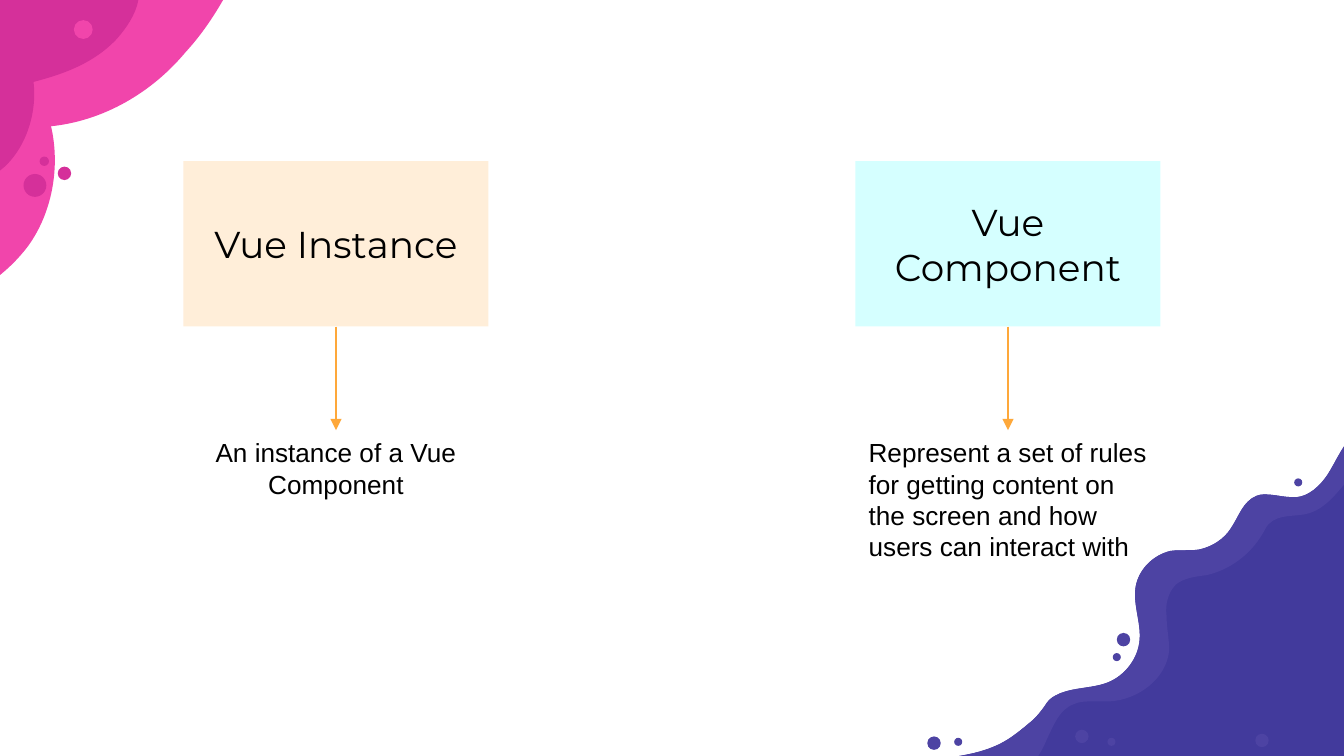
from lxml.etree import SubElement as Sub
from pptx import Presentation
from pptx.dml.color import RGBColor as Rgb
from pptx.enum.shapes import MSO_CONNECTOR as Link, MSO_SHAPE as Shape
from pptx.enum.text import MSO_ANCHOR as Anchor, PP_ALIGN as Align
from pptx.oxml.ns import qn
from pptx.util import Inches, Pt

HUE = {
    "pink": "F145AB", "rose": "D5309A", "navy": "423A9C", "plum": "4D43A3",
    "peach": "FFEED9", "aqua": "D5FFFF", "gold": "FEA83A", "ink": "000000",
}

deck = Presentation()
deck.slide_width = Inches(10)
deck.slide_height = deck.slide_width * 9 // 16
wide = deck.slide_width
unit = wide // 10
slide = deck.slides.add_slide(deck.slide_layouts[6])
shapes = slide.shapes


def paint(shape, hue):
    shape.shadow.inherit = False
    shape.fill.solid()
    shape.fill.fore_color.rgb = Rgb.from_string(HUE[hue])
    shape.line.fill.background()


def write(shape, text, font, size, align):
    frame = shape.text_frame
    frame.word_wrap = True
    frame.text = text
    para = frame.paragraphs[0]
    para.alignment = align
    face = para.runs[0].font
    face.name, face.size = font, Pt(size)
    face.color.rgb = Rgb.from_string(HUE["ink"])


shore = [
    (10.08, 3.23), (10.06, 3.25, 10.05, 3.26, 10.03, 3.28),
    (9.97, 3.36, 9.93, 3.45, 9.88, 3.53), (9.82, 3.62, 9.74, 3.69, 9.65, 3.7),
    (9.64, 3.7, 9.63, 3.7, 9.62, 3.7), (9.55, 3.7, 9.48, 3.68, 9.42, 3.68),
    (9.39, 3.68, 9.37, 3.68, 9.35, 3.69), (9.25, 3.73, 9.22, 3.84, 9.16, 3.93),
    (9.11, 4.01, 9.02, 4.07, 8.92, 4.09), (8.85, 4.1, 8.78, 4.09, 8.71, 4.1),
    (8.58, 4.13, 8.47, 4.24, 8.45, 4.37), (8.43, 4.5, 8.49, 4.63, 8.48, 4.76),
    (8.47, 4.9, 8.37, 5.03, 8.24, 5.08), (8.11, 5.13, 7.95, 5.11, 7.83, 5.19),
    (7.81, 5.2, 7.8, 5.22, 7.79, 5.23), (7.75, 5.29, 7.71, 5.34, 7.66, 5.38),
    (7.6, 5.43, 7.54, 5.48, 7.47, 5.52), (7.38, 5.57, 7.28, 5.6, 7.17, 5.62),
    (6.95, 5.66),
]
inner = [
    (7.7, 5.66), (7.74, 5.61, 7.77, 5.55, 7.79, 5.5),
    (7.84, 5.4, 7.88, 5.28, 7.99, 5.24), (8.03, 5.22, 8.08, 5.22, 8.12, 5.22),
    (8.16, 5.22, 8.2, 5.22, 8.25, 5.22), (8.47, 5.21, 8.68, 5.05, 8.7, 4.84),
    (8.7, 4.75, 8.68, 4.67, 8.68, 4.58), (8.67, 4.5, 8.69, 4.41, 8.75, 4.35),
    (8.81, 4.3, 8.9, 4.29, 8.98, 4.28), (9.15, 4.24, 9.3, 4.13, 9.39, 3.98),
    (9.41, 3.95, 9.42, 3.92, 9.44, 3.9), (9.52, 3.82, 9.64, 3.85, 9.74, 3.82),
    (9.9, 3.77, 9.98, 3.61, 10.1, 3.5), (10.23, 3.37, 10.4, 3.3, 10.58, 3.26),
    (10.58, 3.23),
]
blobs = [
    ("pink", [
        (-0.12, 0), (-0.12, 2.13), (0, 2.06, 0.12, 1.95, 0.21, 1.83),
        (0.39, 1.58, 0.45, 1.24, 0.38, 0.94), (0.77, 0.9, 1.13, 0.69, 1.38, 0.39),
        (1.49, 0.27, 1.58, 0.14, 1.66, 0),
    ]),
    ("rose", [
        (0, 0), (0, 1.27), (0.18, 1.13, 0.28, 0.86, 0.25, 0.61),
        (0.48, 0.55, 0.7, 0.47, 0.87, 0.29), (0.94, 0.21, 1.01, 0.11, 1.03, 0),
    ]),
    ("navy", shore + [(10.58, 5.66), (10.58, 3.23)]),
    ("plum", shore + inner),
]
for hue, parts in blobs:
    ends = [(int(p[-2] * unit), int(p[-1] * unit)) for p in parts]
    pen = shapes.build_freeform(*ends[0])
    pen.add_line_segments(ends[1:], close=True)
    blob = pen.convert_to_shape()
    paint(blob, hue)
    lines = list(blob._element.iter(qn("a:lnTo")))
    for line, part in zip(lines, parts[1:]):
        if len(part) == 2:
            continue
        curve = line.makeelement(qn("a:cubicBezTo"))
        for x, y in zip(part[::2], part[1::2]):
            Sub(curve, qn("a:pt"), x=str(int(x * unit) - blob.left),
                y=str(int(y * unit) - blob.top))
        line.getparent().replace(line, curve)

dots = [
    ("rose", 0.48, 1.29, 0.1), ("pink", 0.62, 0.22, 0.14),
    ("rose", 0.26, 1.38, 0.17), ("rose", 0.33, 1.2, 0.07),
    ("plum", 8.05, 5.48, 0.1), ("plum", 9.39, 5.51, 0.1),
    ("plum", 8.27, 5.52, 0.06), ("plum", 8.31, 4.89, 0.06),
    ("plum", 7.13, 5.52, 0.06), ("plum", 9.66, 3.59, 0.06),
    ("plum", 8.36, 4.76, 0.1), ("plum", 6.95, 5.53, 0.1),
]
for hue, x, y, size in dots:
    dot = shapes.add_shape(
        Shape.OVAL, *(int(n * unit) for n in (x - size / 2, y - size / 2, size, size)))
    paint(dot, hue)

cards = [
    ("Vue Instance", "peach", "An instance of a Vue Component", Align.CENTER, 0.57),
    ("Vue Component", "aqua",
     "Represent a set of rules for getting content on the screen and how users can interact with",
     Align.LEFT, 1.04),
]
span, top, tall, low = (int(n * unit) for n in (2.27, 1.2, 1.23, 3.2))
for i, (head, hue, body, align, deep) in enumerate(cards):
    mid = wide * (1 + 2 * i) // 4
    left = mid - span // 2
    box = shapes.add_shape(Shape.RECTANGLE, left, top, span, tall)
    paint(box, hue)
    write(box, head, "Montserrat", 20, Align.CENTER)
    box.text_frame.vertical_anchor = Anchor.MIDDLE
    note = shapes.add_textbox(left, low, span, int(deep * unit))
    write(note, body, "Arial", 14, align)

    arrow = shapes.add_connector(Link.STRAIGHT, mid, top + tall, mid, low)
    arrow.line.color.rgb = Rgb.from_string(HUE["gold"])
    arrow.line.width = Pt(0.75)
    props = arrow._element.spPr
    Sub(props.find(qn("a:ln")), qn("a:tailEnd"), type="triangle")
    Sub(props, qn("a:effectLst"))

deck.save("out.pptx")
